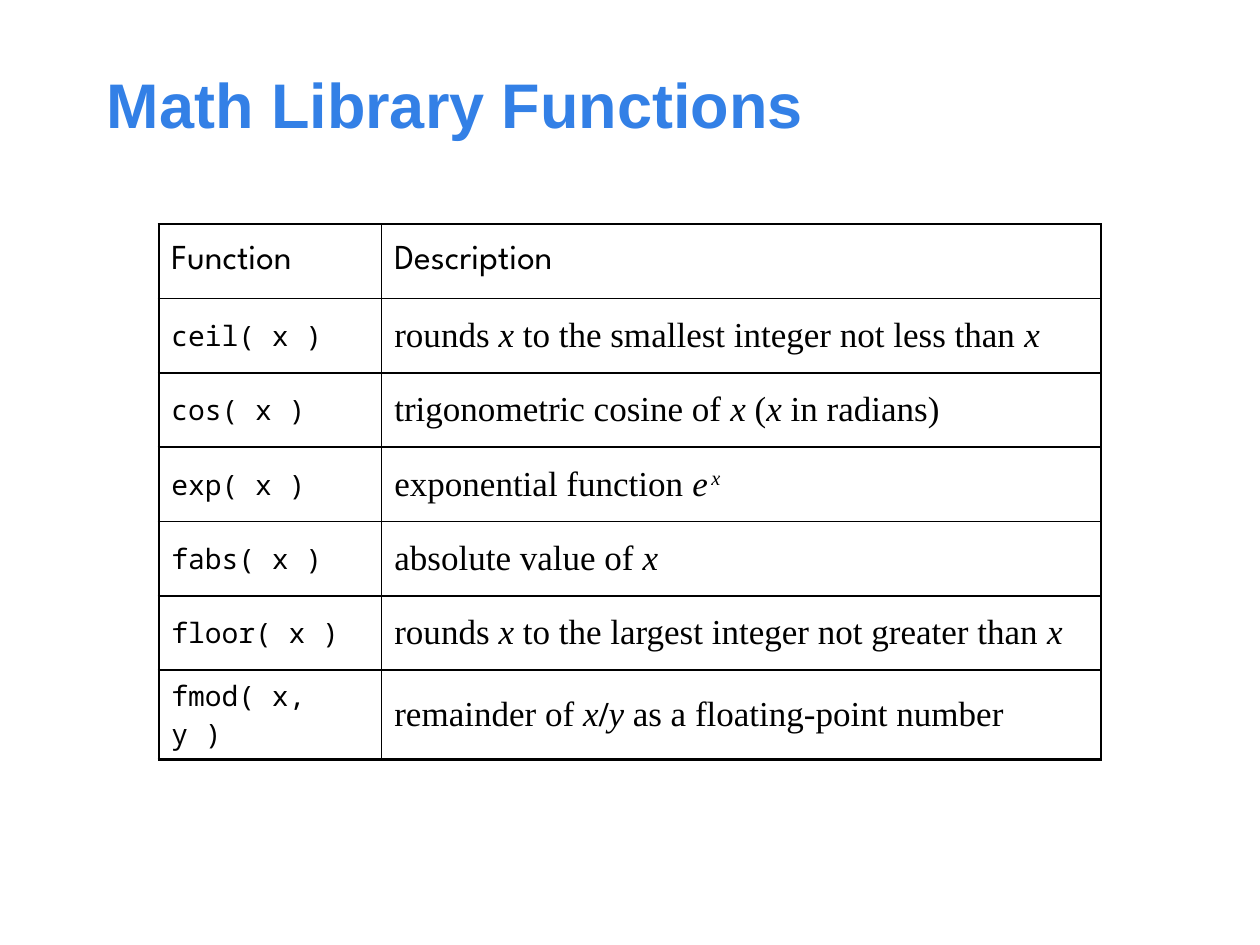
"""Build a slide with a table of math library functions."""
from lxml import etree
from pptx import Presentation
from pptx.dml.color import RGBColor
from pptx.enum.text import MSO_ANCHOR
from pptx.oxml.ns import qn
from pptx.util import Inches, Pt

MIDDLE = MSO_ANCHOR.MIDDLE
COLORS = {"title": "3380E6", "ink": "000000"}
TITLE = "Math Library Functions"
HEADINGS = ["Function", "Description"]
PLAIN, ITALIC, BOLD, BASE, SUPER = "plain", "italic", "bold", "base", "super"
X = ("x", ITALIC)
FUNCTIONS = [
    ("ceil( x )", [("rounds ", PLAIN), X, (" to the smallest integer not less than ", PLAIN), X]),
    ("cos( x )", [("trigonometric cosine of ", PLAIN), X, (" (", PLAIN), X, (" in radians)", PLAIN)]),
    ("exp( x )", [("exponential function ", PLAIN), ("e", BASE), ("x", SUPER)]),
    ("fabs( x )", [("absolute value of ", PLAIN), X]),
    ("floor( x )", [("rounds ", PLAIN), X, (" to the largest integer not greater than ", PLAIN), X]),
    ("fmod( x, y )", [("remainder of ", PLAIN), X, ("/", BOLD), ("y", ITALIC),
                      (" as a floating-point number", PLAIN)]),
]
COLUMN_WIDTHS = [1.77, 5.71]
ROW_HEIGHT, TWO_LINE_HEIGHT = 0.59, 0.71
ROW_HEIGHTS = [ROW_HEIGHT] * len(FUNCTIONS) + [TWO_LINE_HEIGHT]
THIN, THICK = 1, 1.5


def write(paragraph, pieces, font_name, size, color="ink"):
    for text, style in pieces:
        run = paragraph.add_run()
        run.text = text
        font = run.font
        font.name, font.size = font_name, Pt(size)
        font.color.rgb = RGBColor.from_string(COLORS[color])
        font.bold = style == BOLD
        font.italic = style in (ITALIC, BASE, SUPER)
        if style == BASE:
            font._element.set("spc", "200")
        elif style == SUPER:
            font._element.set("baseline", "30000")


def add_borders(cell, widths):
    properties = cell._tc.get_or_add_tcPr()
    for side, width in zip("LRTB", widths):
        line = etree.SubElement(properties, qn(f"a:ln{side}"), w=str(Pt(width)))
        fill = etree.SubElement(line, qn("a:solidFill"))
        etree.SubElement(fill, qn("a:srgbClr"), val=COLORS["ink"])


def main():
    deck = Presentation()
    deck.slide_width, deck.slide_height = Inches(10), Inches(7.5)
    slide = deck.slides.add_slide(deck.slide_layouts[6])

    heading = slide.shapes.add_textbox(Inches(0.75), Inches(0.28), Inches(8.5), Inches(1.08)).text_frame
    heading.word_wrap = True
    heading.vertical_anchor = MIDDLE
    write(heading.paragraphs[0], [(TITLE, BOLD)], "Arial", 36, "title")

    rows = [[([(text, PLAIN)], "League Spartan", 20) for text in HEADINGS]]
    rows += [[([(call, PLAIN)], "Noto Sans Mono", 16), (description, "Times New Roman", 20)]
             for call, description in FUNCTIONS]
    last_row, last_column = len(rows) - 1, len(COLUMN_WIDTHS) - 1
    table = slide.shapes.add_table(
        len(rows), len(COLUMN_WIDTHS), Inches(1.26), Inches(1.78),
        Inches(sum(COLUMN_WIDTHS)), Inches(sum(ROW_HEIGHTS))).table
    table.first_row = table.horz_banding = False
    for column, width in zip(table.columns, COLUMN_WIDTHS):
        column.width = Inches(width)
    for r, (row, height) in enumerate(zip(rows, ROW_HEIGHTS)):
        table.rows[r].height = Inches(height)
        for c, (pieces, font_name, size) in enumerate(row):
            cell = table.cell(r, c)
            cell.vertical_anchor = MIDDLE
            outer_sides = (c == 0, c == last_column, r == 0, r == last_row)
            add_borders(cell, [THICK if outer else THIN for outer in outer_sides])
            cell.fill.background()
            write(cell.text_frame.paragraphs[0], pieces, font_name, size)

    deck.save("out.pptx")


if __name__ == "__main__":
    main()
